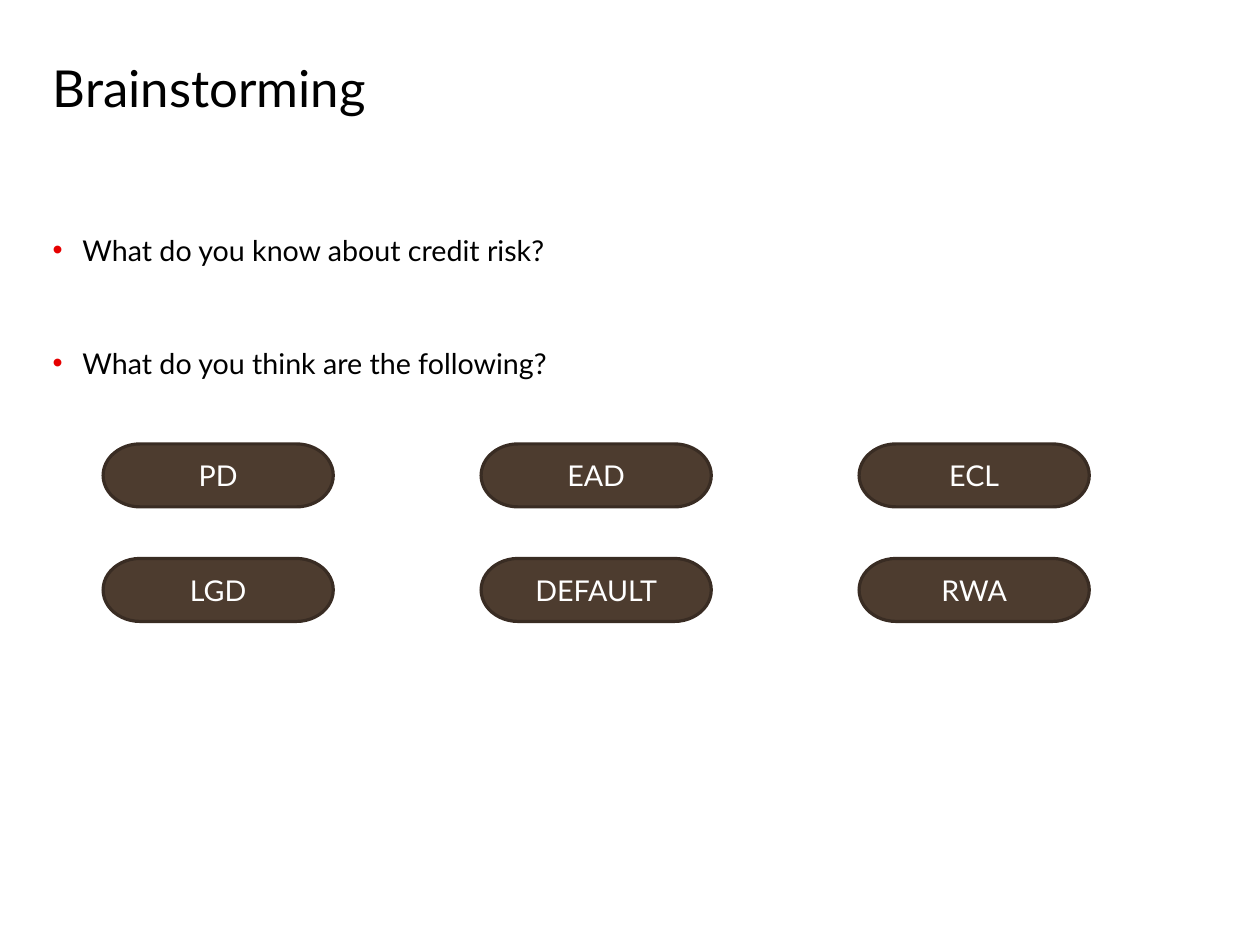
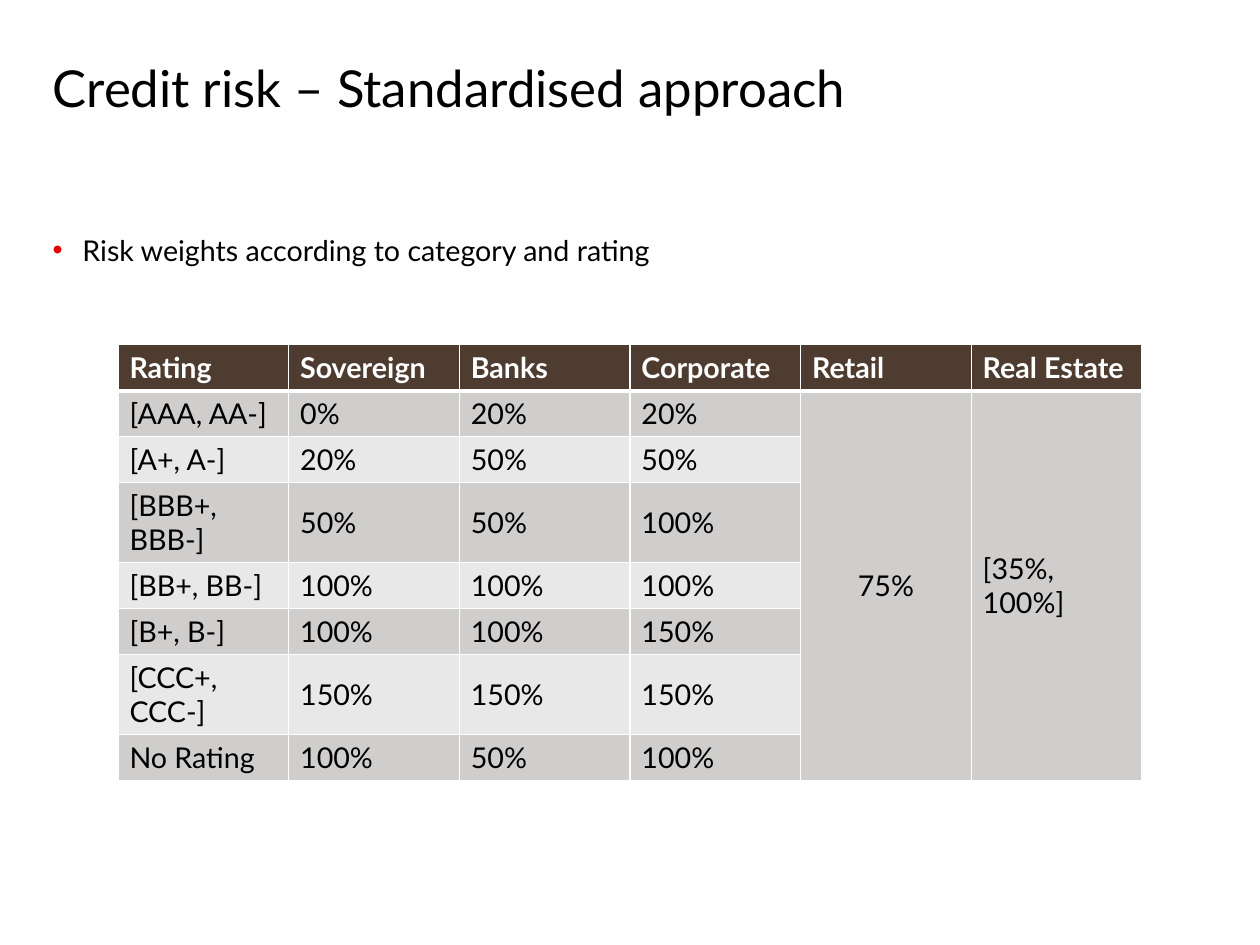
from dataclasses import dataclass
from typing import NamedTuple

from lxml import etree
from pptx import Presentation
from pptx.dml.color import RGBColor
from pptx.enum.shapes import MSO_SHAPE
from pptx.enum.text import MSO_ANCHOR, PP_ALIGN
from pptx.oxml.ns import qn
from pptx.util import Pt

TERMINATOR = MSO_SHAPE.FLOWCHART_TERMINATOR
TOP, MIDDLE, BOTTOM = MSO_ANCHOR.TOP, MSO_ANCHOR.MIDDLE, MSO_ANCHOR.BOTTOM
LEFT, CENTER, JUSTIFY = PP_ALIGN.LEFT, PP_ALIGN.CENTER, PP_ALIGN.JUSTIFY


@dataclass(frozen=True)
class Theme:
    """Colours, font and type sizes shared by the slides."""
    font: str = "Lato"
    ink: str = "000000"
    paper: str = "FFFFFF"
    accent: str = "E60000"
    brown: str = "4D3C2F"
    outline: str = "392C23"
    bands: tuple = ("D0CECD", "E9E8E8")
    title_size: float = 32
    body_size: float = 18
    rule: float = 1
    header_rule: float = 3


class Box(NamedTuple):
    """A region of the slide in points."""
    left: float
    top: float
    width: float
    height: float

    def lengths(self):
        """Return the four measures as lengths."""
        return [Pt(value) for value in self]


THEME = Theme()
PAGE = Box(0, 0, 792, 594)
TITLE = Box(33.1, 0, 723.6, 74.2)
BODY = Box(33.1, 146.2, 723.6, 375.1)
TERMS_GRID = Box(64.8, 279, 619.9, 111.6)
WEIGHTS_TABLE = Box(74.2, 216.7, 643.7, 252)

TERM_WIDTH, TERM_HEIGHT = 144.7, 39.6
BULLET_INDENT = 18.7
PARAGRAPH_GAP, TOPIC_GAP = 14, 49.6
ROW_HEIGHT, WRAPPED_ROW_HEIGHT = 22.3, 39.6

TERMS = [["PD", "EAD", "ECL"], ["LGD", "DEFAULT", "RWA"]]
CATEGORIES = ["Rating", "Sovereign", "Banks", "Corporate", "Retail", "Real Estate"]
RISK_WEIGHTS = [
    ["[AAA, AA-]", "0%", "20%", "20%"],
    ["[A+, A-]", "20%", "50%", "50%"],
    ["[BBB+, BBB-]", "50%", "50%", "100%"],
    ["[BB+, BB-]", "100%", "100%", "100%"],
    ["[B+, B-]", "100%", "100%", "150%"],
    ["[CCC+, CCC-]", "150%", "150%", "150%"],
    ["No Rating", "100%", "50%", "100%"],
]
WRAPPED_ROWS = (3, 6)
FLAT_WEIGHTS = [(4, "75%", CENTER), (5, "[35%, 100%]", JUSTIFY)]


def rgb(color):
    """Turn a hex string into a colour."""
    return RGBColor.from_string(color)


def write(paragraph, text, color=THEME.ink, size=THEME.body_size, bold=False, align=LEFT):
    """Add one styled run to a paragraph."""
    paragraph.alignment = align
    run = paragraph.add_run()
    run.text = text
    run.font.name, run.font.size, run.font.bold = THEME.font, Pt(size), bold
    run.font.color.rgb = rgb(color)


def add_frame(slide, box, anchor):
    """Add a wrapping text box without insets and return its text frame."""
    frame = slide.shapes.add_textbox(*box.lengths()).text_frame
    frame.word_wrap, frame.vertical_anchor = True, anchor
    frame.margin_left = frame.margin_top = frame.margin_right = frame.margin_bottom = 0
    return frame


def add_title(slide, box, text):
    """Set the slide title on the bottom of its box."""
    paragraph = add_frame(slide, box, BOTTOM).paragraphs[0]
    paragraph.line_spacing = Pt(THEME.title_size)
    write(paragraph, text, size=THEME.title_size)


def add_bullet(paragraph):
    """Give a paragraph a hanging bullet in the accent colour."""
    properties = paragraph._p.get_or_add_pPr()
    properties.set("marL", str(Pt(BULLET_INDENT)))
    properties.set("indent", str(-Pt(BULLET_INDENT)))
    color = etree.SubElement(properties, qn("a:buClr"))
    etree.SubElement(color, qn("a:srgbClr"), val=THEME.accent)
    etree.SubElement(properties, qn("a:buFont"), typeface="Arial")
    etree.SubElement(properties, qn("a:buChar"), char="•")


def add_topics(slide, box, topics):
    """List the topics of a slide as widely spaced bullets."""
    frame = add_frame(slide, box, TOP)
    for index, topic in enumerate(topics):
        paragraph = frame.add_paragraph() if index else frame.paragraphs[0]
        paragraph.space_before = Pt(TOPIC_GAP if index else PARAGRAPH_GAP)
        add_bullet(paragraph)
        write(paragraph, topic)


def add_term(slide, box, name):
    """Draw one rounded term."""
    term = slide.shapes.add_shape(TERMINATOR, *box.lengths())
    term.shadow.inherit = False
    term.fill.solid()
    term.fill.fore_color.rgb = rgb(THEME.brown)
    term.line.color.rgb = rgb(THEME.outline)
    term.line.width = Pt(2)
    term.text_frame.word_wrap = True
    term.text_frame.vertical_anchor = MIDDLE
    write(term.text_frame.paragraphs[0], name, THEME.paper, align=CENTER)


def add_terms(slide, box, terms):
    """Spread the rows of terms evenly over the box."""
    column_step = (box.width - TERM_WIDTH) / (len(terms[0]) - 1)
    row_step = (box.height - TERM_HEIGHT) / (len(terms) - 1)
    for row, names in enumerate(terms):
        for column, name in enumerate(names):
            place = Box(box.left + column * column_step, box.top + row * row_step,
                        TERM_WIDTH, TERM_HEIGHT)
            add_term(slide, place, name)


def style_cell(cell, row):
    """Rule and fill a cell according to its row."""
    properties = cell._tc.get_or_add_tcPr()
    widths = {"a:lnL": THEME.rule, "a:lnR": THEME.rule,
              "a:lnT": THEME.header_rule if row == 1 else THEME.rule,
              "a:lnB": THEME.header_rule if row == 0 else THEME.rule}
    for side, width in widths.items():
        line = etree.SubElement(properties, qn(side), w=str(Pt(width)))
        fill = etree.SubElement(line, qn("a:solidFill"))
        etree.SubElement(fill, qn("a:srgbClr"), val=THEME.paper)
    cell.fill.solid()
    cell.fill.fore_color.rgb = rgb(THEME.bands[(row - 1) % 2] if row else THEME.brown)
    cell.vertical_anchor = MIDDLE


def add_weights(slide, box):
    """Tabulate the risk weights by rating and category."""
    rows, columns = len(RISK_WEIGHTS) + 1, len(CATEGORIES)
    holder = slide.shapes.add_table(rows, columns, *box.lengths())
    table = holder.table
    for column in table.columns:
        column.width = Pt(box.width / columns)
    for index, row in enumerate(table.rows):
        row.height = Pt(WRAPPED_ROW_HEIGHT if index in WRAPPED_ROWS else ROW_HEIGHT)
        for cell in row.cells:
            style_cell(cell, index)
    holder.height = Pt(box.height)
    for index, values in enumerate([CATEGORIES] + RISK_WEIGHTS):
        header = index == 0
        for column, value in enumerate(values):
            write(table.cell(index, column).text_frame.paragraphs[0], value,
                  THEME.paper if header else THEME.ink, bold=header)
    for column, value, align in FLAT_WEIGHTS:
        cell = table.cell(1, column)
        cell.merge(table.cell(rows - 1, column))
        write(cell.text_frame.paragraphs[0], value, align=align)


def add_content_slide(deck, title, topics):
    """Add a slide with a title and its topics."""
    slide = deck.slides.add_slide(deck.slide_layouts[6])
    slide.background.fill.solid()
    slide.background.fill.fore_color.rgb = rgb(THEME.paper)
    add_topics(slide, BODY, topics)
    add_title(slide, TITLE, title)
    return slide


def main():
    """Build and save the deck."""
    deck = Presentation()
    deck.slide_width, deck.slide_height = Pt(PAGE.width), Pt(PAGE.height)
    brainstorming = add_content_slide(deck, "Brainstorming", [
        "What do you know about credit risk?", "What do you think are the following?"])
    add_terms(brainstorming, TERMS_GRID, TERMS)
    approach = add_content_slide(deck, "Credit risk – Standardised approach", [
        "Risk weights according to category and rating"])
    add_weights(approach, WEIGHTS_TABLE)
    deck.save("out.pptx")


if __name__ == "__main__":
    main()
